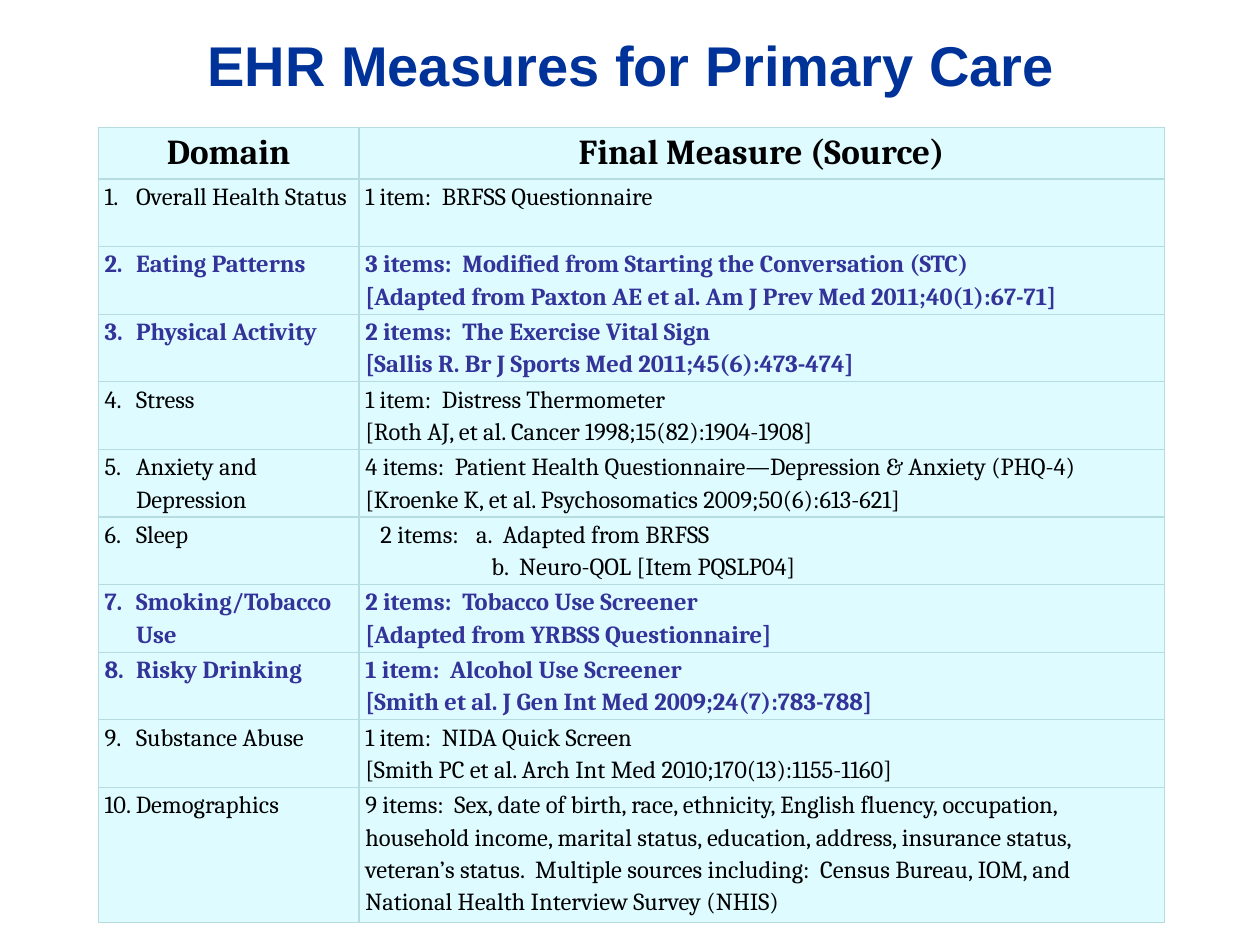
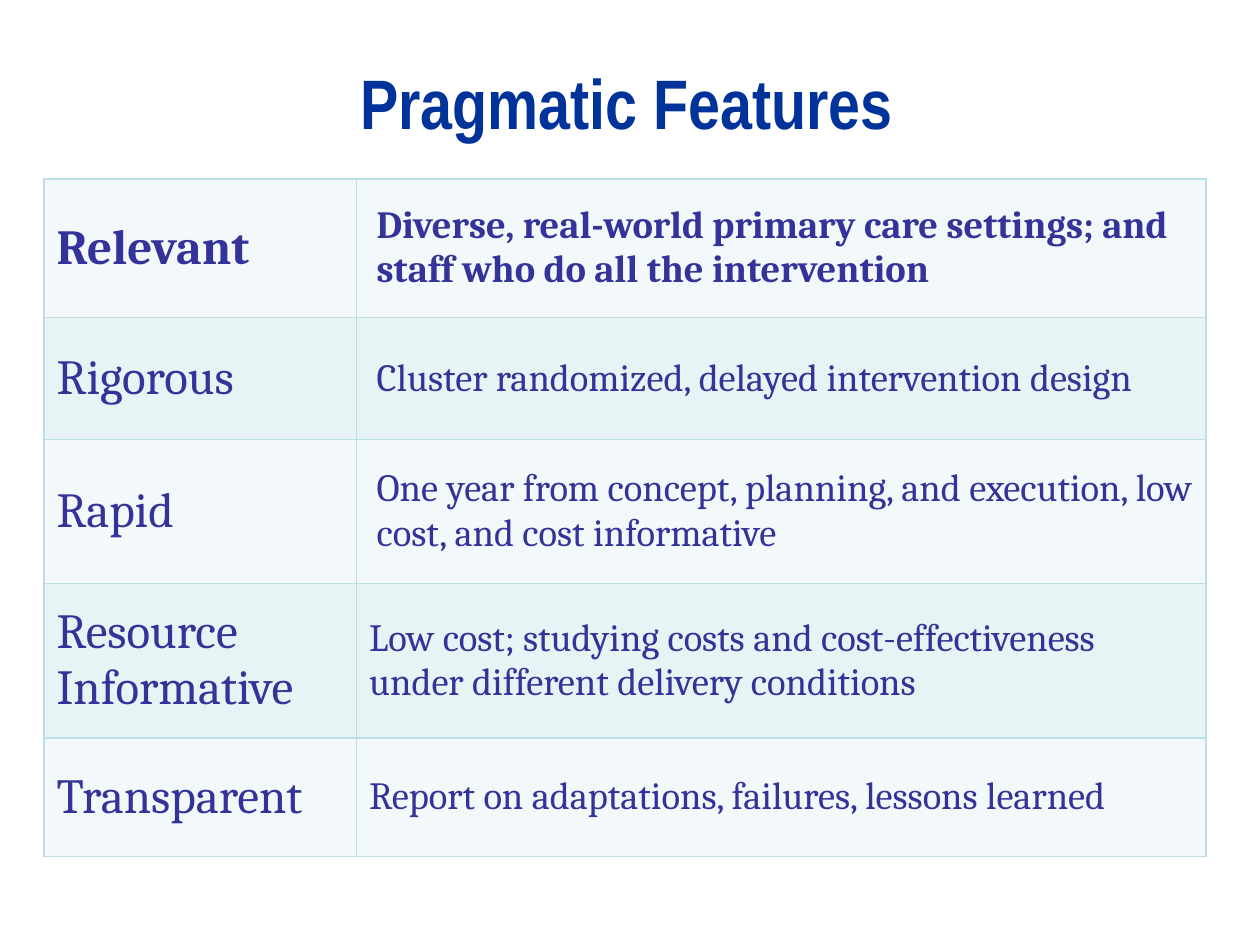
from pptx import Presentation
from pptx.dml.color import RGBColor as Rgb
from pptx.enum.text import MSO_ANCHOR as Anchor, PP_ALIGN as Align
from pptx.oxml import parse_xml
from pptx.oxml.ns import nsdecls
from pptx.util import Inches, Pt

# Shared look
HUES = {"title": "003399", "accent": "333399", "text": "000000", "cyan": "DEFBFF",
        "pale": "F3F9FA", "tint": "E7F3F4", "edge": "B6DCDF", "rule": "BBE0E3"}
SERIF = "Cambria"

deck = Presentation()
deck.slide_width, deck.slide_height = Inches(10), Inches(7.5)
# One percent of the slide across and down
X, Y = deck.slide_width / 100, deck.slide_height / 100


def style(par, face, size, hue, bold):
    for run in par.runs:
        font = run.font
        font.name, font.size, font.bold = face, Pt(size), bold
        font.color.rgb = Rgb.from_string(HUES[hue])


def paint(cell, fill, edge, width, pad, anchor):
    props = cell._tc.get_or_add_tcPr()
    for side in "LRTB":
        props.append(parse_xml(
            f'<a:ln{side} {nsdecls("a")} w="{Pt(width)}"><a:solidFill>'
            f'<a:srgbClr val="{HUES[edge]}"/></a:solidFill></a:ln{side}>'))
    cell.fill.solid()
    cell.fill.fore_color.rgb = Rgb.from_string(HUES[fill])
    cell.margin_left = cell.margin_right = Inches(pad[0])
    cell.margin_top = cell.margin_bottom = Inches(pad[1])
    cell.vertical_anchor = anchor


# Slide content: a line feed starts a paragraph, \v breaks a line
measures = [
    ("Domain", "Final Measure (Source)"),
    ("1.\tOverall Health Status", "1 item:  BRFSS Questionnaire"),
    ("2.\tEating Patterns", "3 items:  Modified from Starting the Conversation (STC)\n"
     "[Adapted from Paxton AE et al. Am J Prev Med 2011;40(1):67-71]"),
    ("3.\tPhysical Activity", "2 items:  The Exercise Vital Sign\v"
     "[Sallis R. Br J Sports Med 2011;45(6):473-474]"),
    ("4.\tStress", "1 item:  Distress Thermometer\v"
     "[Roth AJ, et al. Cancer 1998;15(82):1904-1908]"),
    ("5.\tAnxiety and Depression",
     "4 items:  Patient Health Questionnaire—Depression & Anxiety (PHQ-4) "
     "[Kroenke K, et al. Psychosomatics 2009;50(6):613-621]"),
    ("6.\tSleep", "2 items:\ta.  Adapted from BRFSS\n\tb.  Neuro-QOL [Item PQSLP04]"),
    ("7.\tSmoking/Tobacco Use", "2 items:  Tobacco Use Screener\v"
     "[Adapted from YRBSS Questionnaire]"),
    ("8.\tRisky Drinking", "1 item:  Alcohol Use Screener\v"
     "[Smith et al. J Gen Int Med 2009;24(7):783-788]"),
    ("9.\tSubstance Abuse", "1 item:  NIDA Quick Screen\v"
     "[Smith PC et al. Arch Int Med 2010;170(13):1155-1160]"),
    ("10. Demographics",
     "9 items:  Sex, date of birth, race, ethnicity, English fluency, occupation, "
     "household income, marital status, education, address, insurance status, "
     "veteran’s status.  Multiple sources including:  Census Bureau, IOM, and "
     "National Health Interview Survey (NHIS)"),
]
traits = [
    ("Relevant", "Diverse, real-world primary care settings; "
     "and staff who do all the intervention"),
    ("Rigorous", "Cluster randomized, delayed intervention design"),
    ("Rapid", "One year from concept, planning, and execution, "
     "low cost, and cost informative"),
    ("Resource Informative", "Low cost; studying costs and cost-effectiveness "
     "under different delivery conditions"),
    ("Transparent", "Report on adaptations, failures, lessons learned"),
]

# Title box, table corner, columns and rows, all in percent of the slide
plans = [
    ("EHR Measures for Primary Care", "Arial", 32, (2.9, 2, 94.4, 9.6),
     measures, (7.8, 13.47), (20.7, 63.9), [5.47] + [7.16] * 9 + [14.27]),
    ("Pragmatic Features", "Arial Narrow", 40, (9.7, 2.4, 80, 16.67),
     traits, (3.5, 18.93), (24.8, 67.4), [14.67, 12.93, 15.2, 16.4, 12.53]),
]

# Titles and empty grids
grids = []
for title, face, size, (left, top, wide, high), rows, spot, cols, tall in plans:
    slide = deck.slides.add_slide(deck.slide_layouts[6])
    box = slide.shapes.add_textbox(int(left * X), int(top * Y), int(wide * X), int(high * Y))
    frame = box.text_frame
    frame.word_wrap = True
    frame.vertical_anchor = Anchor.MIDDLE
    frame.text = title
    frame.paragraphs[0].alignment = Align.CENTER
    style(frame.paragraphs[0], face, size, "title", True)

    grid = slide.shapes.add_table(
        len(rows), 2, int(spot[0] * X), int(spot[1] * Y),
        int(sum(cols) * X), int(sum(tall) * Y)).table
    grid.first_row = grid.horz_banding = False
    for col, share in zip(grid.columns, cols):
        col.width = int(share * X)
    for row, share in zip(grid.rows, tall):
        row.height = int(share * Y)
    for r, pair in enumerate(rows):
        for c, words in enumerate(pair):
            grid.cell(r, c).text_frame.text = words
    grids.append(grid)

# Measures: the behaviour rows stand out in bold
BOLD = {2, 3, 7, 8}
SLEEP = 6
for r, row in enumerate(grids[0].rows):
    for c, cell in enumerate(row.cells):
        paint(cell, "cyan", "edge", 0.75, (0.05, 0), Anchor.TOP)
        hangs = [(0.25, -0.25)] if c == 0 else [(0, 0)] * 2
        if (r, c) == (SLEEP, 1):
            hangs = [(0.88, -0.76), (1, -0.89)]
        for par, (left, hang) in zip(cell.text_frame.paragraphs, hangs):
            par.line_spacing = 1.15
            if r == 0:
                par.alignment = Align.CENTER
                style(par, SERIF, 20, "text", True)
                continue
            props = par._p.get_or_add_pPr()
            props.set("marL", str(Inches(left)))
            props.set("indent", str(Inches(hang)))
            style(par, SERIF, 14, "accent" if r in BOLD else "text", r in BOLD)

# Features: two tints take turns, the first row is bold
for r, row in enumerate(grids[1].rows):
    for c, cell in enumerate(row.cells):
        paint(cell, ("pale", "tint")[r % 2], "rule", 1, (0.1, 0.05), Anchor.MIDDLE)
        par = cell.text_frame.paragraphs[0]
        if c == 1 and r < 3:
            par._p.get_or_add_pPr().set("marL", str(Inches(0.06)))
        style(par, SERIF, (28, 22)[c], "accent", r == 0)

deck.save("out.pptx")
